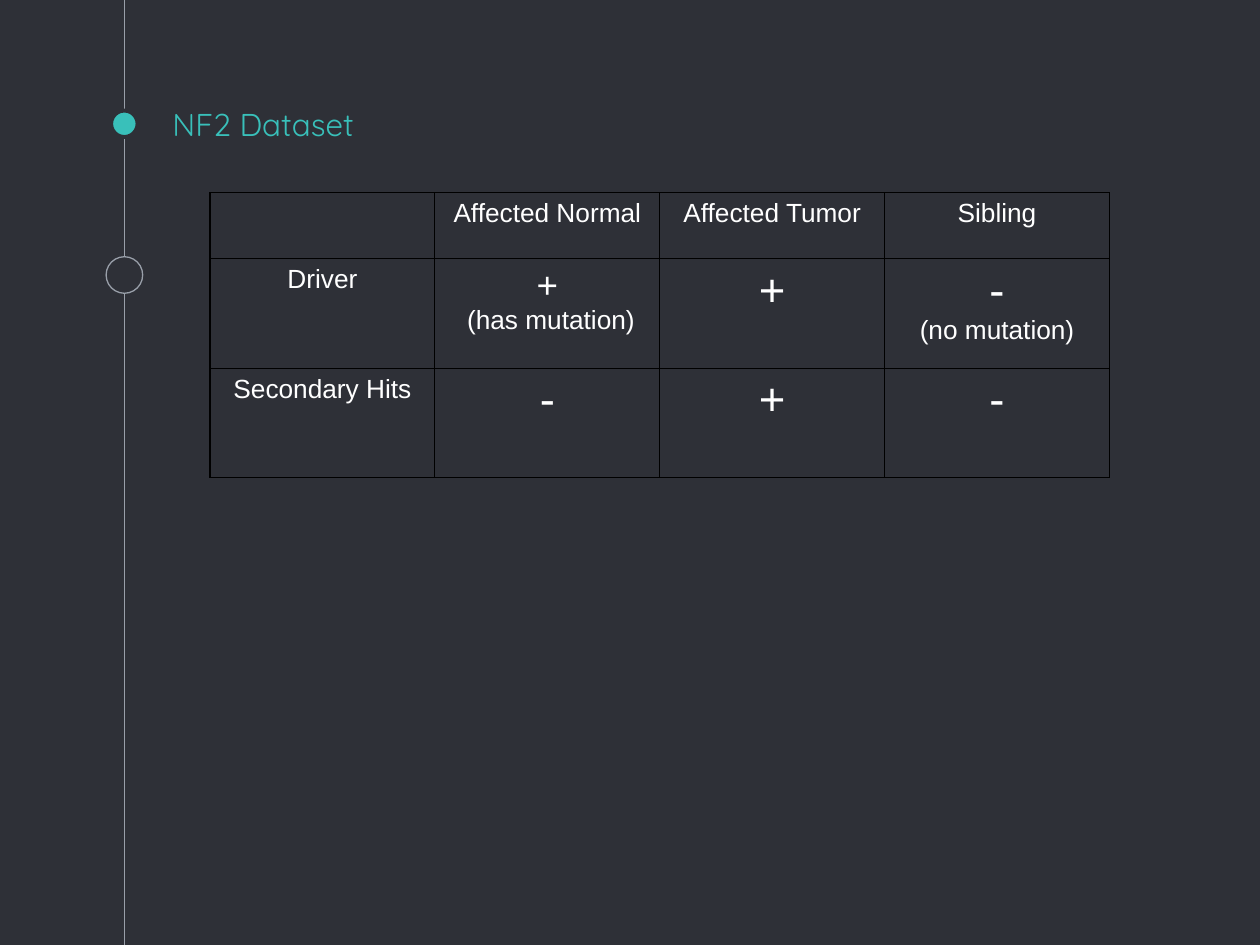
from dataclasses import dataclass

from lxml.etree import SubElement
from pptx import Presentation
from pptx.dml.color import RGBColor
from pptx.enum.shapes import MSO_CONNECTOR, MSO_SHAPE
from pptx.enum.text import MSO_ANCHOR, PP_ALIGN
from pptx.oxml.ns import qn
from pptx.util import Inches, Length, Pt

WIDE, HIGH = Inches(10), Inches(7.5)
HUES = {"back": "2E3037", "teal": "39C0BA", "gray": "999FA9", "white": "FFFFFF", "black": "000000"}
AXIS = 9.87
COLS = [17.85] * 4
ROWS = [7, 11.56, 11.56]
SMALL, MID, BIG = 15, 21, 26


@dataclass(frozen=True)
class Node:
    """A circle on the time line, in percent of the slide."""
    mid: float
    size: float
    fill: str
    edge: str
    width: float


@dataclass(frozen=True)
class Line:
    """One paragraph of a table cell."""
    text: str
    size: int = SMALL


NODES = [Node(13.1, 2.1, "teal", "back", 2.25), Node(29.1, 2.9, "back", "gray", 0.75)]
CELLS = [
    [[], [Line("Affected Normal")], [Line("Affected Tumor")], [Line("Sibling")]],
    [[Line("Driver")], [Line("+", MID), Line(" (has mutation)")], [Line("+", BIG)],
     [Line("-", BIG), Line("(no mutation)")]],
    [[Line("Secondary Hits")], [Line("-", BIG)], [Line("+", BIG)], [Line("-", BIG)]],
]


def hue(name: str) -> RGBColor:
    """Look up a colour."""
    return RGBColor.from_string(HUES[name])


def across(share: float) -> Length:
    """Turn a percentage of the slide's width into a length."""
    return Length(round(WIDE * share / 100))


def down(share: float) -> Length:
    """Turn a percentage of the slide's height into a length."""
    return Length(round(HIGH * share / 100))


def write(para, text: str, *, size: float, font: str = "Arial", color: str = "white",
          align: PP_ALIGN = PP_ALIGN.CENTER) -> None:
    """Put formatted text into a paragraph."""
    para.alignment = align
    run = para.add_run()
    run.text = text
    run.font.size, run.font.name = Pt(size), font
    run.font.color.rgb = hue(color)


def draw_axis(slide) -> None:
    """Draw the upright time line."""
    axis = slide.shapes.add_connector(MSO_CONNECTOR.STRAIGHT, across(AXIS), 0, across(AXIS), HIGH)
    axis.line.color.rgb, axis.line.width = hue("gray"), Pt(0.75)
    SubElement(axis.element.spPr, qn("a:effectLst"))


def draw_node(slide, node: Node) -> None:
    """Draw a circle centred on the time line."""
    size = across(node.size)
    dot = slide.shapes.add_shape(MSO_SHAPE.OVAL, across(AXIS - node.size / 2),
                                 down(node.mid) - size // 2, size, size)
    dot.shadow.inherit = False
    dot.fill.solid()
    dot.fill.fore_color.rgb = hue(node.fill)
    dot.line.color.rgb, dot.line.width = hue(node.edge), Pt(node.width)


def draw_title(slide) -> None:
    """Write the slide's heading."""
    frame = slide.shapes.add_textbox(across(12.7), down(9.73), across(75), down(6.67)).text_frame
    frame.word_wrap, frame.vertical_anchor = True, MSO_ANCHOR.BOTTOM
    frame.margin_left = frame.margin_right = frame.margin_top = frame.margin_bottom = Inches(0.1)
    write(frame.paragraphs[0], "NF2 Dataset", size=18, font="Quicksand", color="teal",
          align=PP_ALIGN.LEFT)


def border(cell) -> None:
    """Rule all four sides of a cell."""
    props = cell._tc.get_or_add_tcPr()
    for side in ("lnL", "lnR", "lnT", "lnB"):
        rule = SubElement(props, qn(f"a:{side}"), w=str(Pt(0.75)))
        SubElement(SubElement(rule, qn("a:solidFill")), qn("a:srgbClr"), val=HUES["black"])


def fill_cell(cell, lines: list[Line]) -> None:
    """Format a cell and write its lines."""
    border(cell)
    cell.fill.background()
    cell.margin_left = cell.margin_right = Inches(0.11)
    cell.margin_top = cell.margin_bottom = Inches(0.05)
    frame = cell.text_frame
    for spot, line in enumerate(lines):
        para = frame.add_paragraph() if spot else frame.paragraphs[0]
        write(para, line.text, size=line.size)


def draw_table(slide) -> None:
    """Draw the table of mutations."""
    table = slide.shapes.add_table(len(ROWS), len(COLS), across(16.67), down(20.4),
                                   across(sum(COLS)), down(sum(ROWS))).table
    table.first_row = table.horz_banding = False
    for col, share in zip(table.columns, COLS):
        col.width = across(share)
    for row, share, texts in zip(table.rows, ROWS, CELLS):
        row.height = down(share)
        for cell, lines in zip(row.cells, texts):
            fill_cell(cell, lines)


def main() -> None:
    """Build and save the slide."""
    deck = Presentation()
    deck.slide_width, deck.slide_height = WIDE, HIGH
    slide = deck.slides.add_slide(deck.slide_layouts[6])
    slide.background.fill.solid()
    slide.background.fill.fore_color.rgb = hue("back")
    draw_axis(slide)
    for node in NODES:
        draw_node(slide, node)
    draw_title(slide)
    draw_table(slide)
    deck.save("out.pptx")


if __name__ == "__main__":
    main()
